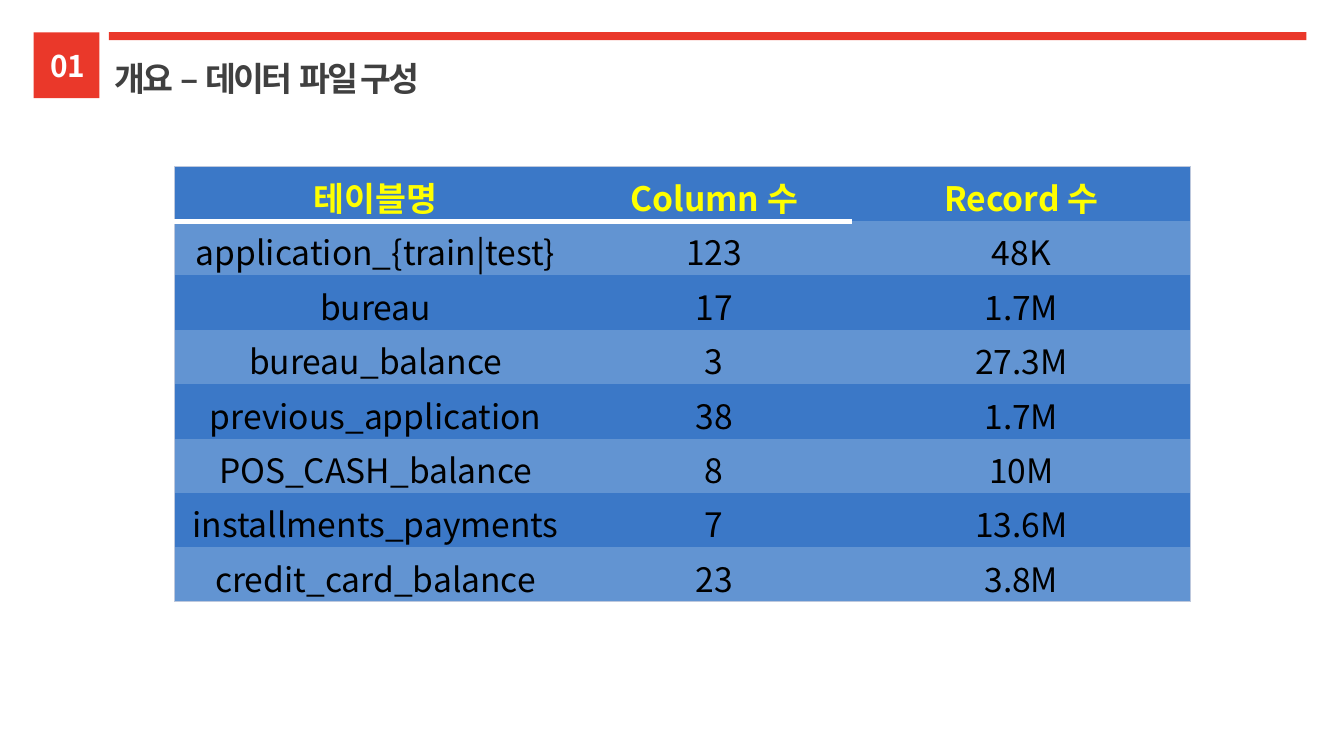
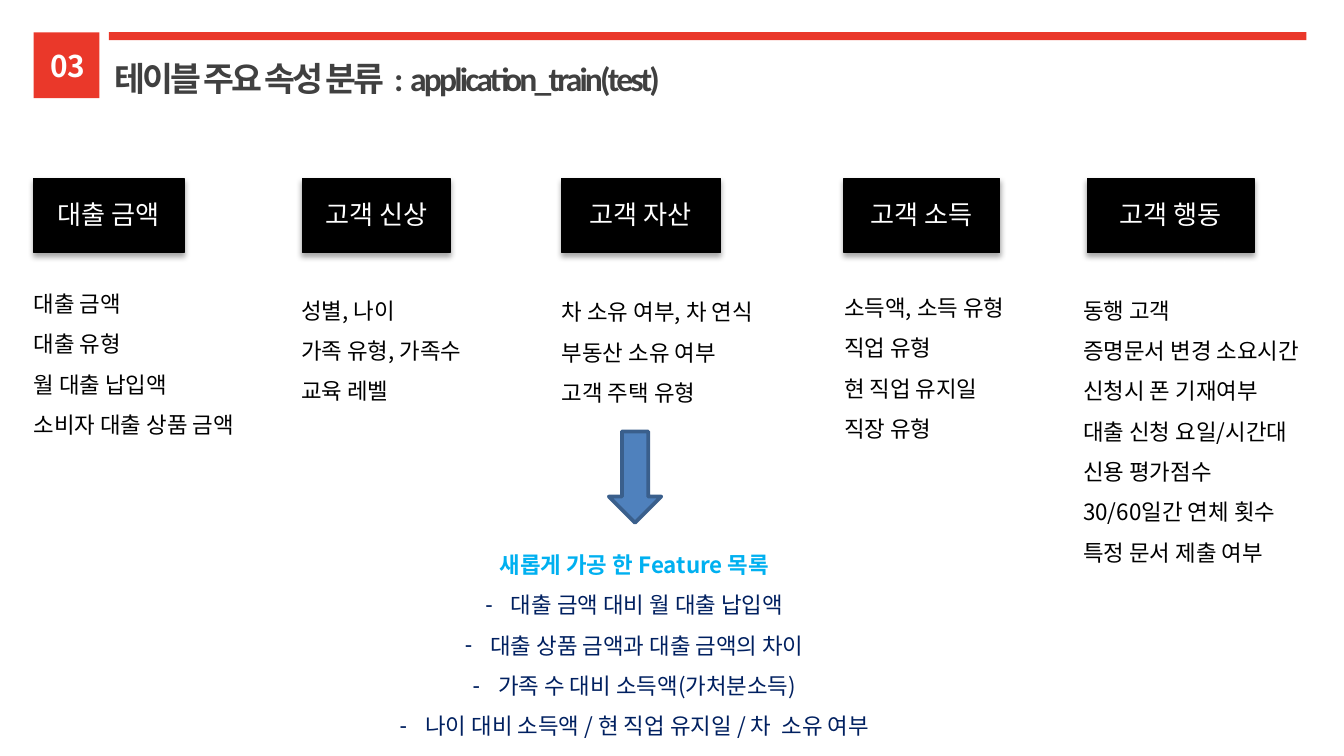
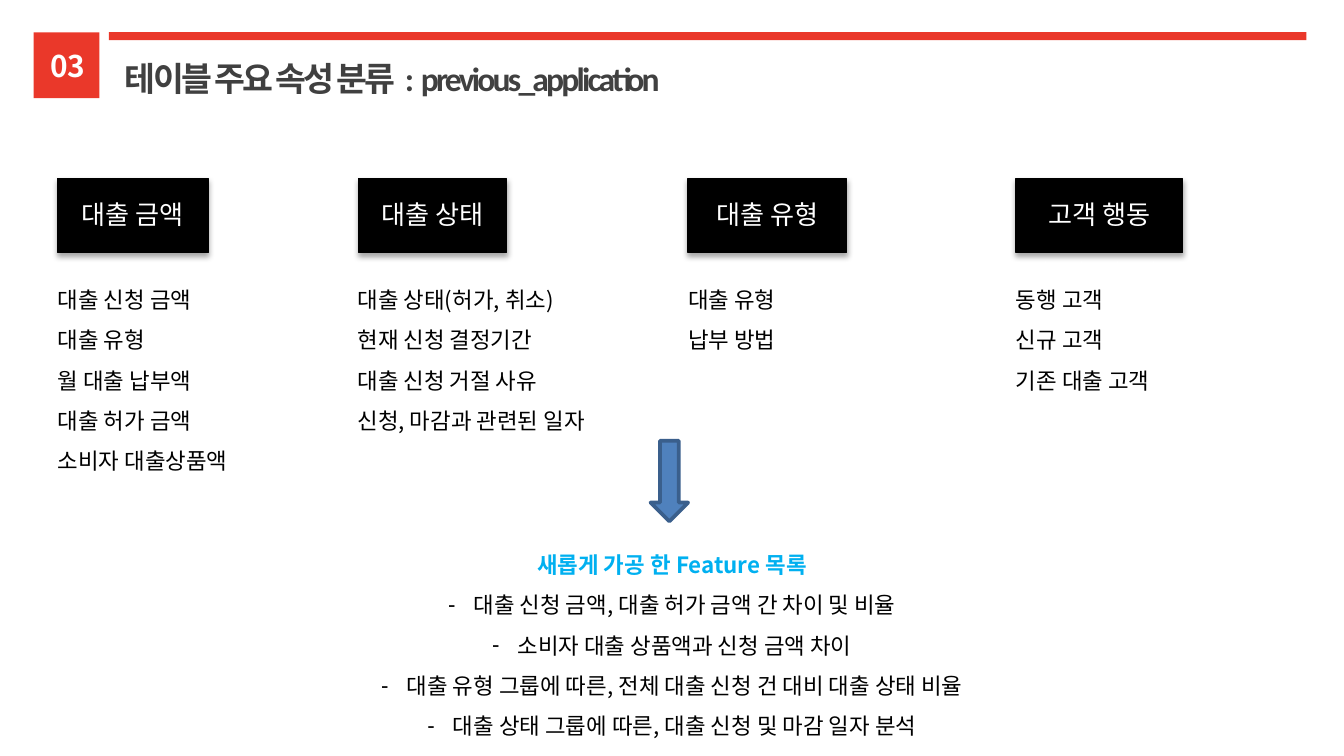
from lxml import etree
from pptx import Presentation
from pptx.dml.color import RGBColor
from pptx.enum.shapes import MSO_SHAPE
from pptx.enum.text import MSO_ANCHOR, MSO_AUTO_SIZE, PP_ALIGN
from pptx.oxml.ns import qn
from pptx.util import Emu, Inches, Pt

RECT, DOWN_ARROW = MSO_SHAPE.RECTANGLE, MSO_SHAPE.DOWN_ARROW
TOP, MIDDLE, BOTTOM = MSO_ANCHOR.TOP, MSO_ANCHOR.MIDDLE, MSO_ANCHOR.BOTTOM
LEFT, CENTER = PP_ALIGN.LEFT, PP_ALIGN.CENTER
NO_FIT = MSO_AUTO_SIZE.NONE
TITLE_AND_BODY, TITLE_ONLY = 1, 5
PLAIN_TABLE = "{2D5ABB26-0587-4C30-8999-92F81FD0307C}"


class Theme:
    font, title_font = "Noto Sans CJK KR", "Calibri"
    red, title, white, black = "EA382A", "404040", "FFFFFF", "000000"
    row_dark, row_light, header_text, table_edge = "3B78C7", "6294D2", "FFFF00", "BDC8DD"
    arrow, arrow_edge = "4F81BD", "3A5F8C"
    feature_title, navy = "00B0F0", "002060"
    title_size, number_size, heading_size, list_size, table_size = 18, 16, 14, 12, 18
    list_leading = Pt(1.5 * 1.2 * list_size)


# Content
FILES = {
    "number": "01", "title": "개요  –  데이터  파일 구성", "title_x": 0.75, "title_w": 3.87,
    "rows": [
        ("테이블명", "Column 수", "Record 수"),
        ("application_{train|test}", "123", "48K"),
        ("bureau", "17", "1.7M"),
        ("bureau_balance", "3", "27.3M"),
        ("previous_application", "38", "1.7M"),
        ("POS_CASH_balance", "8", "10M"),
        ("installments_payments", "7", "13.6M"),
        ("credit_card_balance", "23", "3.8M"),
    ],
}
FEATURE_TITLE = "새롭게 가공 한 Feature 목록"
# Groups: heading, its left and width, list left, top and width, items
ATTRIBUTES = [
    {
        "number": "03", "title_x": 0.75, "title_w": 4.88,
        "title": "테이블 주요 속성 분류  :  application_train(test)",
        "groups": [
            ("대출 금액", 0.25, 1.12, 0.25, 2.06, 1.66,
             ["대출 금액", "대출 유형", "월 대출 납입액", "소비자 대출 상품 금액"]),
            ("고객 신상", 2.25, 1.1, 2.24, 2.11, 1.41,
             ["성별, 나이", "가족 유형, 가족수", "교육 레벨"]),
            ("고객 자산", 4.18, 1.18, 4.18, 2.12, 1.48,
             ["차 소유 여부, 차 연식", "부동산 소유 여부", "고객 주택 유형"]),
            ("고객 소득", 6.28, 1.16, 6.28, 2.09, 1.39,
             ["소득액, 소득 유형", "직업 유형", "현 직업 유지일", "직장 유형"]),
            ("고객 행동", 8.09, 1.24, 8.06, 2.11, 1.66,
             ["동행 고객\n증명문서 변경 소요시간", "신청시 폰 기재여부", "대출 신청 요일/시간대",
              "신용 평가점수", "30/60일간 연체 횟수", "특정 문서 제출 여부"]),
        ],
        "arrow": (4.53, 3.21, 0.39, 0.68),
        "features_center": 4.72, "features_color": Theme.navy,
        "features": ["대출 금액 대비 월 대출 납입액", "대출 상품 금액과 대출 금액의 차이",
                     "가족 수 대비 소득액(가처분소득)",
                     "나이 대비 소득액 / 현 직업 유지일 / 차  소유 여부"],
    },
    {
        "number": "03", "title_x": 0.83, "title_w": 4.88,
        "title": "테이블 주요 속성 분류  :  previous_application",
        "groups": [
            ("대출 금액", 0.43, 1.12, 0.43, 2.03, 1.66,
             ["대출 신청 금액", "대출 유형", "월 대출 납부액", "대출 허가 금액", "소비자 대출상품액"]),
            ("대출 상태", 2.67, 1.1, 2.66, 2.03, 1.41,
             ["대출 상태(허가, 취소)", "현재 신청 결정기간", "대출 신청 거절 사유",
              "신청, 마감과 관련된 일자"]),
            ("대출 유형", 5.12, 1.18, 5.12, 2.03, 1.48, ["대출 유형", "납부 방법"]),
            ("고객 행동", 7.56, 1.24, 7.56, 2.03, 1.66,
             ["동행 고객\n신규 고객", "기존 대출 고객"]),
        ],
        "arrow": (4.84, 3.28, 0.28, 0.6),
        "features_center": 5, "features_color": Theme.black,
        "features": ["대출 신청 금액, 대출 허가 금액 간 차이 및 비율",
                     "소비자 대출 상품액과 신청 금액 차이",
                     "대출 유형 그룹에 따른, 전체 대출 신청 건 대비 대출 상태 비율",
                     "대출 상태 그룹에 따른, 대출 신청 및 마감 일자 분석"],
    },
]


# Helpers
def rgb(color):
    return RGBColor.from_string(color)


def add_xml(parent, tag, **attrs):
    return etree.SubElement(parent, qn(tag), {k: str(v) for k, v in attrs.items()})


def place(sp, x, y, w, h):
    sp.left, sp.top, sp.width, sp.height = map(Inches, (x, y, w, h))


def style(p, size, color, bold=False, align=LEFT, font=Theme.font, leading=None):
    p.alignment = align
    if leading:
        p.line_spacing = leading
    for r in p.runs:
        r.font.size, r.font.bold, r.font.name = Pt(size), bold, font
        r.font.color.rgb = rgb(color)
        add_xml(r.font._element, "a:ea", typeface=Theme.font)


def set_frame(tf, anchor=TOP, wrap=False, margin=0):
    tf.auto_size, tf.word_wrap, tf.vertical_anchor = NO_FIT, wrap, anchor
    tf.margin_left = tf.margin_right = Inches(margin)
    tf.margin_top = tf.margin_bottom = 0


def set_lines(tf, lines):
    for i, line in enumerate(lines):
        p = tf.paragraphs[0] if i == 0 else tf.add_paragraph()
        p.text = line
    return tf.paragraphs


def add_box(s, kind, at, fill, line=None, width=0.75):
    sp = s.shapes.add_shape(kind, *map(Inches, at))
    sp.shadow.inherit = False
    sp.fill.solid()
    sp.fill.fore_color.rgb = rgb(fill)
    if line:
        sp.line.color.rgb = rgb(line)
        sp.line.width = Pt(width)
    else:
        sp.line.fill.background()
    return sp


def add_slide(layout, content):
    s = prs.slides.add_slide(prs.slide_layouts[layout])
    # Title
    title = s.shapes.title
    place(title, content["title_x"], 0.38, content["title_w"], 0.4)
    title.text_frame.text = content["title"]
    set_frame(title.text_frame, MIDDLE, margin=0.1)
    p = title.text_frame.paragraphs[0]
    style(p, Theme.title_size, Theme.title, True, font=Theme.title_font)
    for r in p.runs:
        r.font._element.set("spc", "-150")
    # Section number and band
    add_box(s, RECT, (0.25, 0.24, 0.49, 0.49), Theme.red)
    add_box(s, RECT, (0.81, 0.24, 8.91, 0.06), Theme.red)
    number = s.shapes.add_textbox(*map(Inches, (0.15, 0.3, 0.71, 0.37)))
    set_frame(number.text_frame, MIDDLE, wrap=True)
    number.text_frame.text = content["number"]
    style(number.text_frame.paragraphs[0], Theme.number_size, Theme.white, True, CENTER)
    return s


def add_cell_line(cell, side, color, width):
    ln = add_xml(cell._tc.get_or_add_tcPr(), "a:ln" + side, w=Pt(width))
    add_xml(add_xml(ln, "a:solidFill"), "a:srgbClr", val=color)


def add_file_table(s, rows):
    widths, height = (2.99, 2.05, 2.52), 3.24
    n, m = len(rows), len(widths)
    frame = s.shapes.add_table(n, m, *map(Inches, (1.3, 1.24, sum(widths), height)))
    table = frame.table
    table.horz_banding = False
    table._tbl.tblPr.find(qn("a:tableStyleId")).text = PLAIN_TABLE
    for col, w in zip(table.columns, widths):
        col.width = Inches(w)
    for i, row in enumerate(rows):
        table.rows[i].height = Emu(Inches(height) // n)
        for j, text in enumerate(row):
            cell = table.cell(i, j)
            cell.text = text
            cell.vertical_anchor = BOTTOM
            cell.margin_top = cell.margin_bottom = 0
            style(cell.text_frame.paragraphs[0], Theme.table_size,
                  Theme.black if i else Theme.header_text, i == 0, CENTER)
            edges = {"L": j == 0, "R": j == m - 1, "T": i == 0, "B": i == n - 1}
            for side, outer in edges.items():
                if outer:
                    add_cell_line(cell, side, Theme.table_edge, 0.75)
            if i == 0 and j < m - 1:
                add_cell_line(cell, "B", Theme.white, 3)
            cell.fill.solid()
            cell.fill.fore_color.rgb = rgb(Theme.row_light if i % 2 else Theme.row_dark)


def add_group(s, heading, x, w, list_x, list_top, list_w, items):
    sp = add_box(s, RECT, (x, 1.33, w, 0.55), Theme.black, Theme.black)
    effects = sp._element.spPr.find(qn("a:effectLst"))
    shadow = add_xml(effects, "a:outerShdw", blurRad=Pt(3.1), dist=Pt(1.8),
                     dir=90 * 60000, rotWithShape=0)
    add_xml(add_xml(shadow, "a:srgbClr", val=Theme.black), "a:alpha", val=35000)
    sp.text_frame.text = heading
    sp.text_frame.vertical_anchor = MIDDLE
    style(sp.text_frame.paragraphs[0], Theme.heading_size, Theme.white,
          align=CENTER, leading=0.9)
    box = s.shapes.add_textbox(*map(Inches, (list_x, list_top, list_w, 1)))
    set_frame(box.text_frame)
    for p in set_lines(box.text_frame, items):
        style(p, Theme.list_size, Theme.black, leading=Theme.list_leading)


def add_features(s, center, color, features):
    body, width = s.placeholders[1], 4.8
    place(body, center - width / 2, 4, width, 1.29)
    set_frame(body.text_frame)
    for i, p in enumerate(set_lines(body.text_frame, [FEATURE_TITLE] + features)):
        style(p, Theme.list_size, color if i else Theme.feature_title, i == 0,
              CENTER, leading=Theme.list_leading)
        p.space_before = Pt(0)
        pPr = p._p.get_or_add_pPr()
        indent = Inches(0.19) if i else 0
        pPr.set("marL", str(indent))
        pPr.set("indent", str(-indent))
        if i:
            add_xml(pPr, "a:buChar", char="-")
        else:
            add_xml(pPr, "a:buNone")


# Slides
prs = Presentation()
prs.slide_width = Inches(10)
prs.slide_height = Emu(prs.slide_width * 9 // 16)

add_file_table(add_slide(TITLE_ONLY, FILES), FILES["rows"])

for content in ATTRIBUTES:
    s = add_slide(TITLE_AND_BODY, content)
    for group in content["groups"]:
        add_group(s, *group)
    add_features(s, content["features_center"], content["features_color"],
                 content["features"])
    add_box(s, DOWN_ARROW, content["arrow"], Theme.arrow, Theme.arrow_edge, 2)

prs.save("out.pptx")
